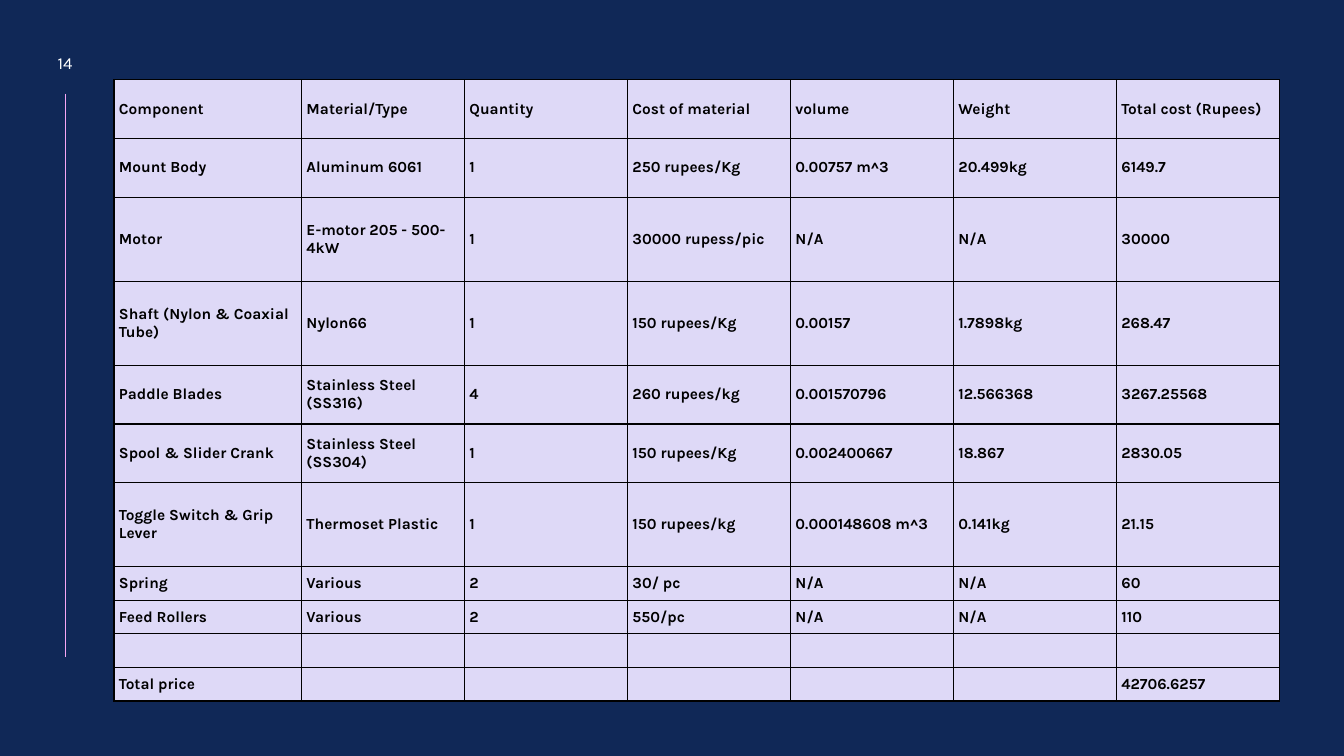
from lxml import etree
from pptx import Presentation
from pptx.dml.color import RGBColor
from pptx.enum import shapes, text
from pptx.oxml.ns import qn
from pptx.util import Inches, Pt

# Content
PAGE = "14"
ROWS = [
    ("Component", "Material/Type", "Quantity", "Cost of material", "volume", "Weight", "Total cost (Rupees)"),
    ("Mount Body", "Aluminum 6061", "1", "250 rupees/Kg", "0.00757 m^3", "20.499kg", "6149.7"),
    ("Motor", "E-motor 205 - 500-4kW", "1", "30000 rupess/pic", "N/A", "N/A", "30000"),
    ("Shaft (Nylon & Coaxial Tube)", "Nylon66", "1", "150 rupees/Kg", "0.00157", "1.7898kg", "268.47"),
    ("Paddle Blades", "Stainless Steel (SS316)", "4", "260 rupees/kg", "0.001570796", "12.566368", "3267.25568"),
    ("Spool & Slider Crank", "Stainless Steel (SS304)", "1", "150 rupees/Kg", "0.002400667", "18.867", "2830.05"),
    ("Toggle Switch & Grip Lever", "Thermoset Plastic", "1", "150 rupees/kg", "0.000148608 m^3", "0.141kg", "21.15"),
    ("Spring", "Various", "2", "30/ pc", "N/A", "N/A", "60"),
    ("Feed Rollers", "Various", "2", "550/pc", "N/A", "N/A", "110"),
    ("",) * 7,
    ("Total price", "", "", "", "", "", "42706.6257"),
]
ROW_TWELFTHS = [7, 7, 10, 10, 7, 7, 10, 4, 4, 4, 4]  # row heights in 1/12 inch
COLORS = {"back": "102857", "rule": "F6A6F4", "cell": "DED9F7", "ink": "000000", "page": "FFFFFF"}
FONT = "Karla"
LEFT, TOP, WIDTH, FIRST_COL = 1.13, 0.79, 11.56, 1.86


def rgb(name):
    return RGBColor.from_string(COLORS[name])


def add_run(p, content, size, color, bold=False):
    r = p.add_run()
    r.text = content
    r.font.name, r.font.size, r.font.bold = FONT, Pt(size), bold
    r.font.color.rgb = rgb(color)


def add_borders(cell):
    tc_pr = cell._tc.get_or_add_tcPr()
    for i, side in enumerate(("lnL", "lnR", "lnT", "lnB")):
        ln = etree.Element(qn(f"a:{side}"), w=str(Pt(1)))
        fill = etree.SubElement(ln, qn("a:solidFill"))
        etree.SubElement(fill, qn("a:srgbClr"), val=COLORS["ink"])
        tc_pr.insert(i, ln)


def fill_cell(cell, content):
    cell.margin_left = cell.margin_right = Inches(0.05)
    cell.margin_top = cell.margin_bottom = Inches(0.03)
    cell.vertical_anchor = text.MSO_ANCHOR.MIDDLE
    cell.fill.solid()
    cell.fill.fore_color.rgb = rgb("cell")
    add_borders(cell)
    p = cell.text_frame.paragraphs[0]
    if content:
        add_run(p, content, 11, "ink", True)
    else:  # keeps empty rows from growing
        etree.SubElement(p._p, qn("a:endParaRPr"), sz="1100")


prs = Presentation()
prs.slide_width, prs.slide_height = Inches(13.33), Inches(7.5)
s = prs.slides.add_slide(prs.slide_layouts[6])
s.background.fill.solid()
s.background.fill.fore_color.rgb = rgb("back")

# Side rule
rule = s.shapes.add_connector(shapes.MSO_CONNECTOR.STRAIGHT,
                              Inches(0.65), Inches(0.93), Inches(0.65), Inches(6.52))
rule.line.color.rgb = rgb("rule")
rule.line.width = Pt(0.5)
etree.SubElement(rule._element.spPr, qn("a:effectLst"))

# Page number
tf = s.shapes.add_textbox(Inches(0.36), Inches(0.45), Inches(0.57), Inches(0.34)).text_frame
tf.word_wrap = True
tf.vertical_anchor = text.MSO_ANCHOR.MIDDLE
tf.paragraphs[0].alignment = text.PP_ALIGN.CENTER
add_run(tf.paragraphs[0], PAGE, 12, "page")

# Cost table
n_cols = len(ROWS[0])
table = s.shapes.add_table(len(ROWS), n_cols, Inches(LEFT), Inches(TOP), Inches(WIDTH),
                           Inches(sum(ROW_TWELFTHS) / 12)).table
table.first_row = table.horz_banding = False
for j, col in enumerate(table.columns):
    col.width = Inches(FIRST_COL if j == 0 else (WIDTH - FIRST_COL) / (n_cols - 1))
for i, row in enumerate(ROWS):
    table.rows[i].height = Inches(ROW_TWELFTHS[i] / 12)
    for j, content in enumerate(row):
        fill_cell(table.cell(i, j), content)

prs.save("out.pptx")
